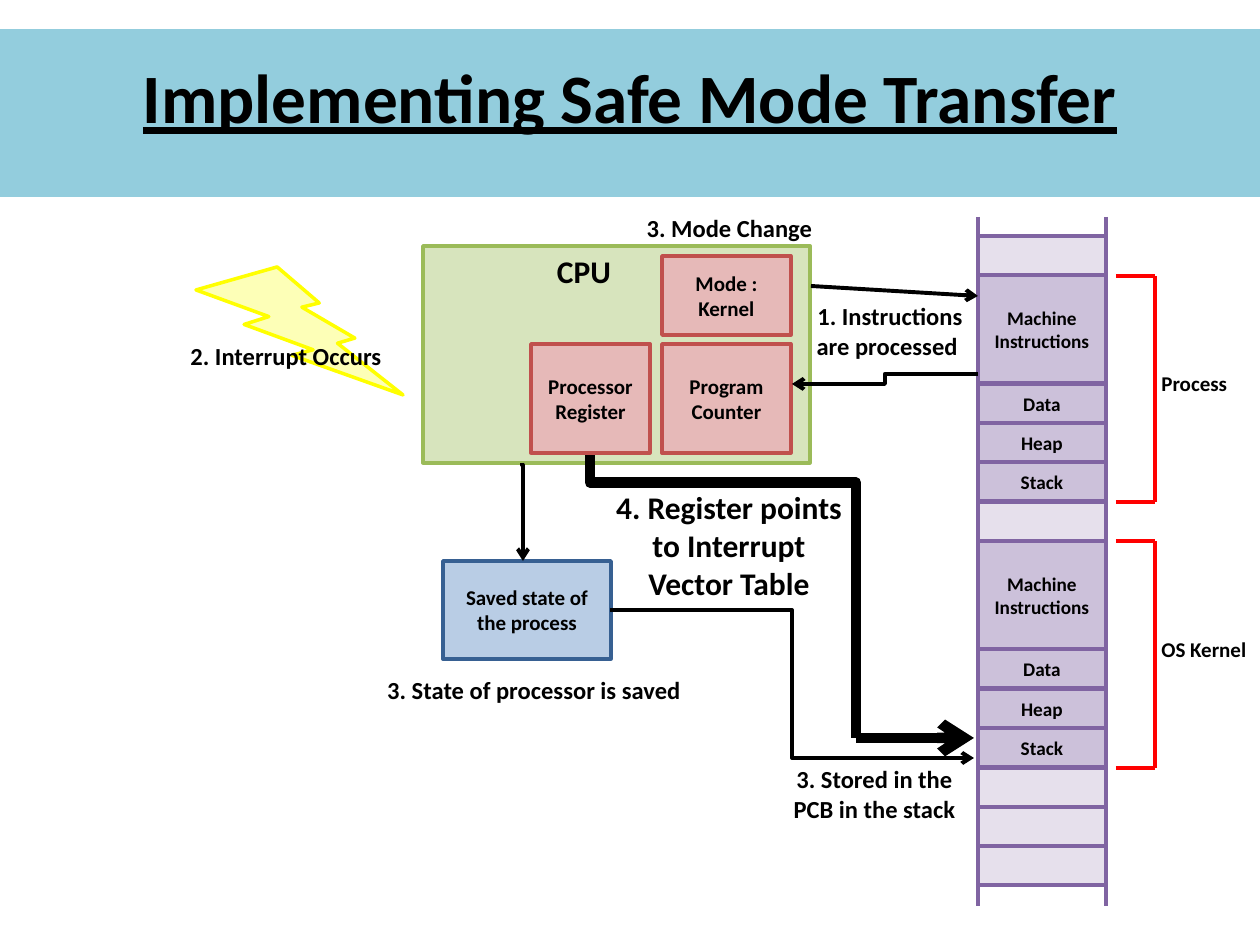
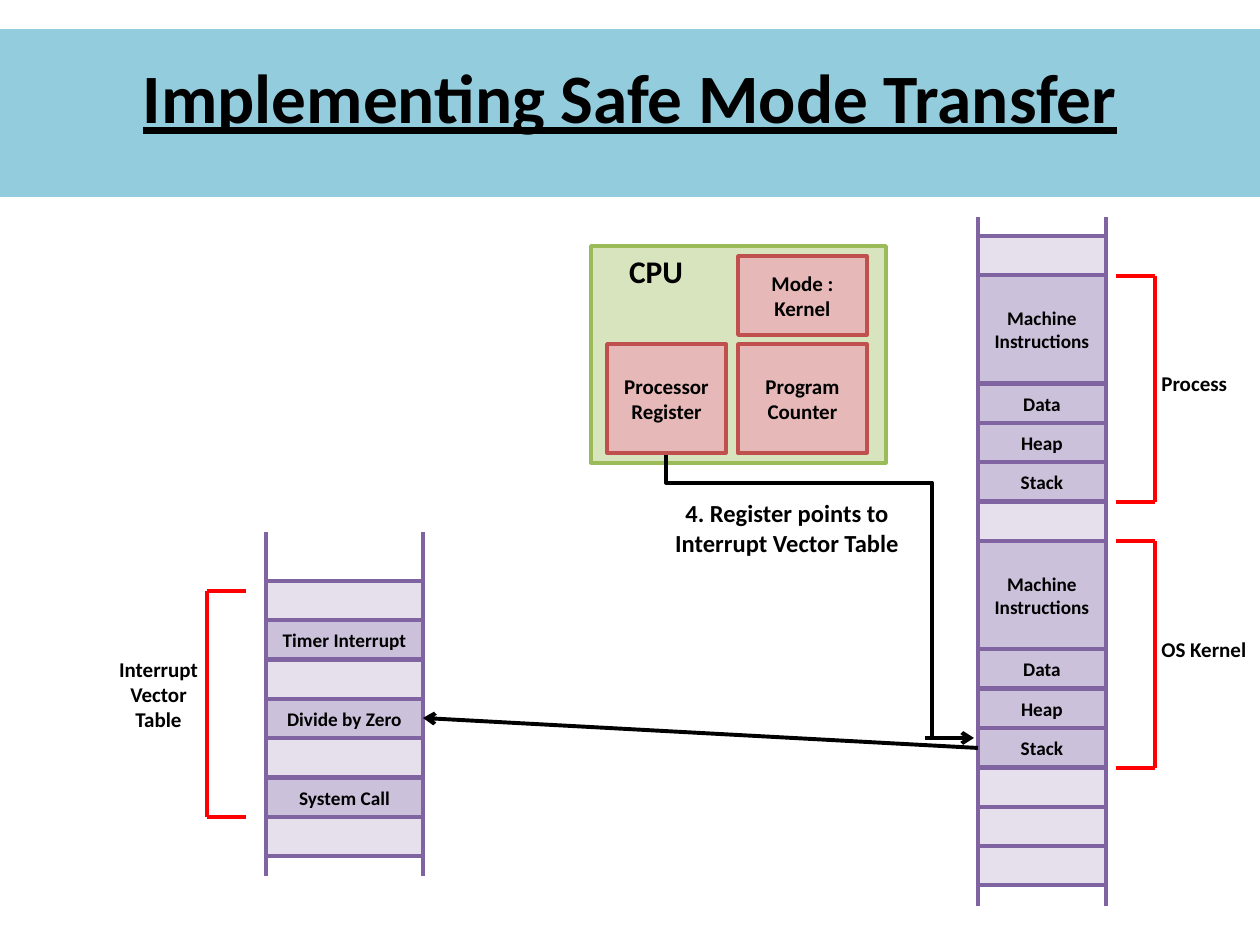
import pptx
import pptx.dml.color
import pptx.enum.shapes
import pptx.enum.text
import pptx.oxml
import pptx.oxml.ns
import pptx.util

PX = 914400 // 126
ROW = 39.375  # height of one memory cell

THEME = {
    "font": "Calibri", "ink": "000000", "band": "93CDDD", "mark": "FF0000",
    "title": 39.6, "head": 18, "note": 14, "body": 12, "cell": 11,
    "edge": 2, "wire": 2.25, "bold": 6,
    # fill and line of each kind of box
    "cpu": ("D7E4BD", "9BBB59"), "unit": ("E6B9B8", "C0504D"),
    "used": ("CCC1DA", "8064A2"), "free": ("E6E0EC", "8064A2"),
    "save": ("B9CDE5", "376092"), "bolt": ("FDFFB7", "FFFF00"),
}
RGB = pptx.dml.color.RGBColor.from_string
SHAPE = pptx.enum.shapes.MSO_SHAPE
WIRE = pptx.enum.shapes.MSO_CONNECTOR
ALIGN = pptx.enum.text.PP_ALIGN
ANCHOR = pptx.enum.text.MSO_ANCHOR


def box(slide, at, text="", size="body", style=None, kind=SHAPE.RECTANGLE, align=ALIGN.CENTER):
    """Add a filled shape, or a plain label when no style is given."""
    place = [round(n) * PX for n in at]
    if style:
        shape = slide.shapes.add_shape(kind, *place)
        shape.shadow.inherit = False
        fill, edge = THEME[style]
        shape.fill.solid()
        shape.fill.fore_color.rgb = RGB(fill)
        shape.line.color.rgb = RGB(edge)
        shape.line.width = pptx.util.Pt(THEME["edge"])
    else:
        shape = slide.shapes.add_textbox(*place)
    if text:
        frame = shape.text_frame
        frame.text = text
        frame.word_wrap = bool(style) or at[3] > 51
        frame.vertical_anchor = ANCHOR.MIDDLE if style else ANCHOR.TOP
        line = frame.paragraphs[0]
        line.alignment = align
        font = line.runs[0].font
        font.name, font.bold = THEME["font"], True
        font.size = pptx.util.Pt(THEME[size])
        font.color.rgb = RGB(THEME["ink"])
    return shape


def wire(slide, start, end, color="ink", width="wire", arrow=False, bend=None, down=False):
    """Add a line; bend is the share at which it turns, down makes it leave vertically."""
    (x1, y1), (x2, y2) = start, end
    if down:  # the unturned frame has width and height swapped
        mid_x, mid_y = (x1 + x2) / 2, (y1 + y2) / 2
        half_w, half_h = (y2 - y1) / 2, (x2 - x1) / 2
        x1, y1, x2, y2 = mid_x + half_w, mid_y - half_h, mid_x - half_w, mid_y + half_h
    kind = WIRE.STRAIGHT if bend is None else WIRE.ELBOW
    line = slide.shapes.add_connector(kind, *[round(n * PX) for n in (x1, y1, x2, y2)])
    line.line.color.rgb = RGB(THEME.get(color, color))
    line.line.width = pptx.util.Pt(THEME[width])
    props = line._element.spPr
    if down:
        props.find(pptx.oxml.ns.qn("a:xfrm")).set("rot", "16200000")
    if bend is not None:
        space = pptx.oxml.ns.nsdecls("a")
        shape = props.find(pptx.oxml.ns.qn("a:prstGeom"))
        for old in list(shape):
            shape.remove(old)
        shape.append(pptx.oxml.parse_xml(
            f'<a:avLst {space}><a:gd name="adj1" fmla="val {round(bend * 100000)}"/></a:avLst>'))
    if arrow:
        tip = pptx.oxml.parse_xml(f'<a:tailEnd {pptx.oxml.ns.nsdecls("a")} type="arrow"/>')
        line.line._get_or_add_ln().append(tip)
    props.append(pptx.oxml.parse_xml(f'<a:effectLst {pptx.oxml.ns.nsdecls("a")}/>'))


deck = pptx.Presentation()
deck.slide_width, deck.slide_height = 1260 * PX, 945 * PX

# Cells as (text, height in rows); an empty text is a free cell
part = [("Machine Instructions", 2.75), ("Data", 1), ("Heap", 1), ("Stack", 1)]
free = [("", 1)]
memory = free + part + free + part + free * 3
vector = free + [cell for name in ("Timer Interrupt", "Divide by Zero", "System Call")
                 for cell in [(name, 1)] + free]

# Columns: left, width, first cell top, rail top, rail end, cells
main = (978, 128, 236, 217, 906, memory)
table = (266, 157, 581, 532, 876, vector)

# Brackets: tip, spine, top, end
marks = [(1116, 1155, 276, 502), (1116, 1155, 541, 768)]
plans = [
    {"cpu": (423, 246, 387, 217), "name": 544, "unit": 531,
     "columns": [main], "marks": marks},
    {"cpu": (591, 246, 295, 217), "name": 616, "unit": 607,
     "columns": [main, table], "marks": marks + [(246, 207, 591, 817)]},
]

slides = []
for plan in plans:
    slide = deck.slides.add_slide(deck.slide_layouts[5])
    slides.append(slide)

    # Title on its band; the deep bottom inset lifts the line
    title = slide.shapes.title
    title.left, title.top, title.width, title.height = [n * PX for n in (29, 78, 1202, 118)]
    frame = title.text_frame
    frame.text = "Implementing Safe Mode Transfer"
    frame.auto_size = pptx.enum.text.MSO_AUTO_SIZE.NONE
    frame.vertical_anchor = ANCHOR.MIDDLE
    frame.margin_bottom = 88 * PX
    frame.paragraphs[0].alignment = ALIGN.CENTER
    font = frame.paragraphs[0].runs[0].font
    font.name, font.size = THEME["font"], pptx.util.Pt(THEME["title"])
    font.bold = font.underline = True
    font.color.rgb = RGB(THEME["ink"])
    band = slide.shapes.add_shape(SHAPE.RECTANGLE, 0, 29 * PX, 1260 * PX, 168 * PX)
    band.shadow.inherit = False
    band.fill.solid()
    band.fill.fore_color.rgb = RGB(THEME["band"])
    band.line.fill.background()
    title._element.addprevious(band._element)

    # Processor
    left = plan["unit"]
    box(slide, plan["cpu"], style="cpu")
    box(slide, (plan["name"], 246, 80, 51), "CPU", "head")
    box(slide, (left + 131, 344, 129, 109), "Program Counter", style="unit")
    box(slide, (left + 131, 256, 129, 79), "Mode : Kernel", style="unit")

    # Memory columns with their rails
    for x, wide, top, start, end, cells in plan["columns"]:
        for text, rows in cells:
            box(slide, (x, top, wide, rows * ROW), text, "cell", "used" if text else "free")
            top += rows * ROW
        for rail in (x, x + wide):
            wire(slide, (rail, start), (rail, end), THEME["used"][1])

    # Brackets and their names
    for tip, spine, top, end in plan["marks"]:
        for y in (top, end):
            wire(slide, (tip, y), (spine, y), "mark")
        wire(slide, (spine, top), (spine, end), "mark")
    box(slide, (1149, 364, 92, 38), "Process", align=ALIGN.LEFT)
    box(slide, (1149, 630, 111, 38), "OS Kernel", align=ALIGN.LEFT)

    # Register pointing into the kernel stack
    width = "bold" if slide is slides[0] else "wire"
    turn = left + 325
    wire(slide, (turn if width == "bold" else turn - 7, 738), (974, 738), width=width, arrow=True)
    wire(slide, (left + 59, 453), (turn, 738), width=width, bend=0.104, down=True)
    box(slide, (left, 344, 119, 109), "Processor Register", style="unit")

# First slide: the interrupt and the saving of the state
slide = slides[0]
box(slide, (196, 267, 207, 128), style="bolt", kind=SHAPE.LIGHTNING_BOLT)
box(slide, (443, 561, 168, 98), "Saved state of the process", style="save")
wire(slide, (811, 286), (978, 296), arrow=True)
wire(slide, (978, 374), (792, 384), arrow=True, bend=0.5)
wire(slide, (522, 463), (523, 561), arrow=True, bend=0.02, down=True)
wire(slide, (610, 610), (974, 758), arrow=True, bend=0.5)
for text, at in [
    ("2. Interrupt Occurs", (177, 335, 218, 43)),
    ("1. Instructions are processed ", (801, 295, 178, 72)),
    ("3. Mode Change", (634, 207, 191, 43)),
    ("3. State of processor is saved", (374, 669, 320, 43)),
    ("3. Stored in the PCB in the stack", (781, 758, 187, 72)),
]:
    box(slide, at, text, "note")
box(slide, (601, 482, 256, 127), "4. Register points to Interrupt Vector Table", "head")

# Second slide: the vector table
slide = slides[1]
box(slide, (659, 492, 256, 72), "4. Register points to Interrupt Vector Table", "note")
box(slide, (98, 650, 121, 90), "Interrupt Vector Table")
wire(slide, (978, 748), (423, 718), arrow=True)

deck.save("out.pptx")
